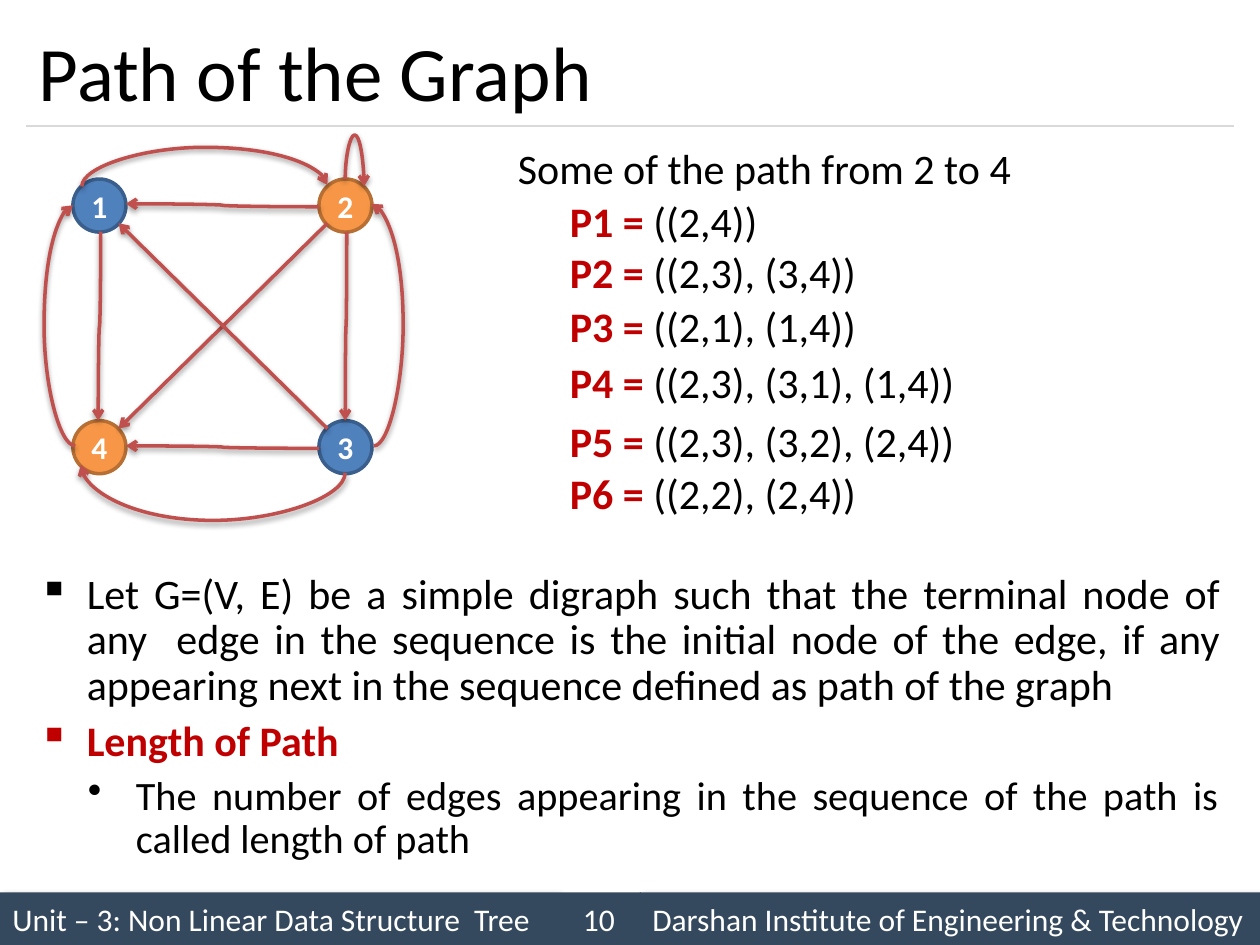
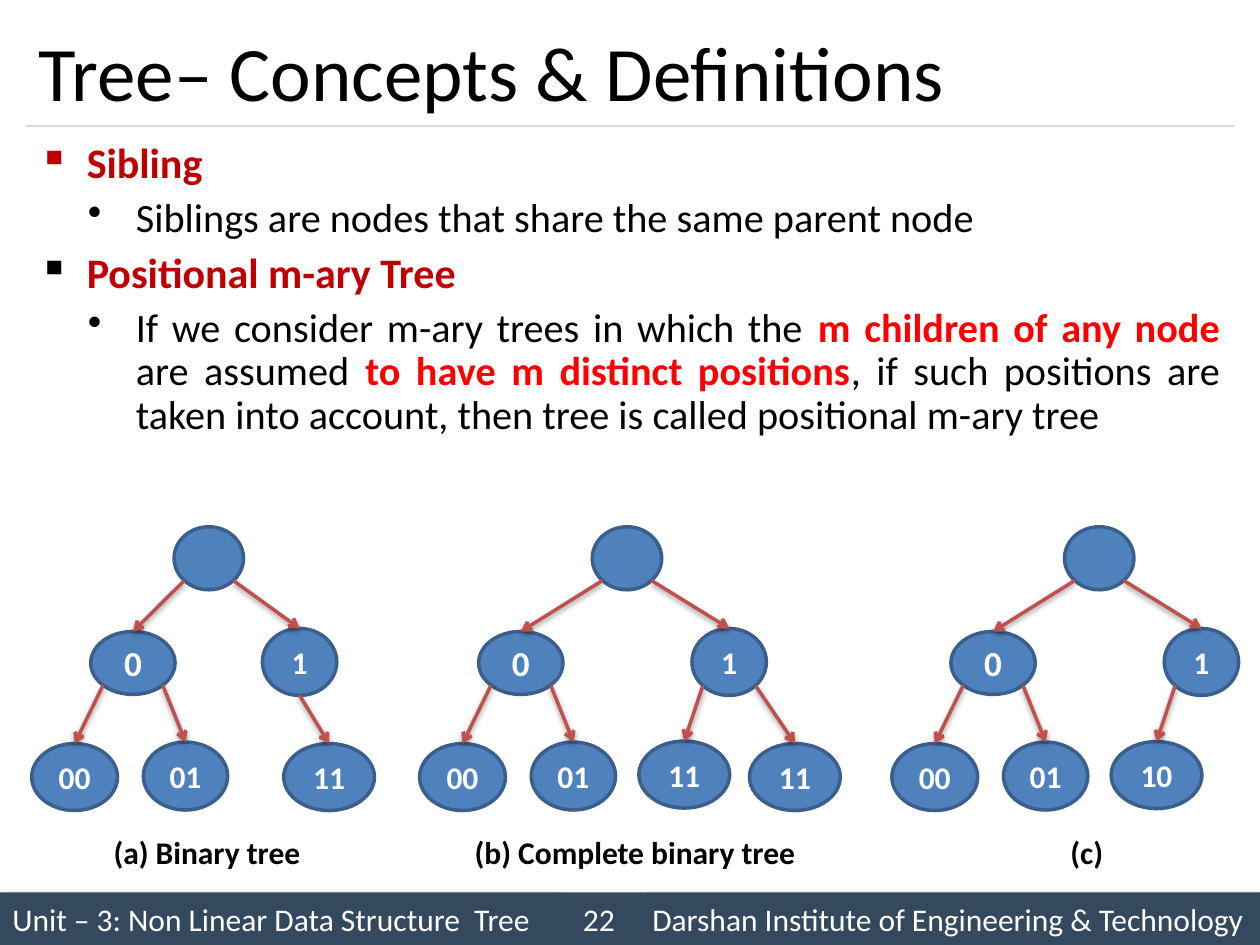
from dataclasses import dataclass
from typing import Optional

from lxml import etree
from pptx import Presentation
from pptx.dml.color import RGBColor
from pptx.enum.shapes import MSO_CONNECTOR, MSO_SHAPE
from pptx.enum.text import MSO_ANCHOR, PP_ALIGN
from pptx.oxml.ns import qn
from pptx.util import Cm, Pt

FONT = "Calibri"
BLACK = RGBColor(0x00, 0x00, 0x00)
WHITE = RGBColor(0xFF, 0xFF, 0xFF)
NAVY = RGBColor(0x34, 0x49, 0x5E)
RULE = RGBColor(0xD9, 0xD9, 0xD9)
BLUE = RGBColor(0x4F, 0x81, 0xBD)
BLUE_EDGE = RGBColor(0x3A, 0x5F, 0x8C)
ORANGE = RGBColor(0xF7, 0x96, 0x46)
ORANGE_EDGE = RGBColor(0xB7, 0x6F, 0x34)
ARROW = RGBColor(0xC0, 0x50, 0x4D)
CRIMSON = RGBColor(0xC0, 0x00, 0x00)
RED = RGBColor(0xFF, 0x00, 0x00)
UPPER, MIDDLE, LOWER = PP_ALIGN.LEFT, PP_ALIGN.CENTER, PP_ALIGN.JUSTIFY
SITE = 0.146


@dataclass(frozen=True)
class Run:
    text: str
    size: float = 18
    color: RGBColor = BLACK
    bold: bool = False


@dataclass(frozen=True)
class Bullet:
    runs: list[Run]
    level: int = 0
    bullet_color: Optional[RGBColor] = None


@dataclass(frozen=True)
class Node:
    label: str
    left: float
    top: float
    width: float
    height: float
    size: float = 18
    fill: RGBColor = BLUE
    edge: RGBColor = BLUE_EDGE

    def site(self, across: float) -> tuple[float, float]:
        down = 1 if across == 0.5 else 1 - SITE
        return self.left + across * self.width, self.top + down * self.height


@dataclass(frozen=True)
class Edge:
    x1: float
    y1: float
    x2: float
    y2: float
    axis: str = ""
    via: float = 0


@dataclass(frozen=True)
class Tree:
    left: float
    root: float
    right: float
    leaves: list[tuple[str, float, float, float]]
    caption: str
    caption_left: float
    caption_width: float


def add_runs(p, runs: list[Run]) -> None:
    for item in runs:
        r = p.add_run()
        r.text = item.text
        r.font.name = FONT
        r.font.size = Pt(item.size)
        r.font.bold = item.bold
        r.font.color.rgb = item.color


def add_shadow(sp, blur: int, dist: int, direction: int, alpha: int) -> None:
    effects = etree.SubElement(sp._element.spPr, qn("a:effectLst"))
    shadow = etree.SubElement(effects, qn("a:outerShdw"), blurRad=str(blur),
                              dist=str(dist), dir=str(direction * 60000), rotWithShape="0")
    color = etree.SubElement(shadow, qn("a:srgbClr"), val=str(BLACK))
    etree.SubElement(color, qn("a:alpha"), val=str(alpha * 1000))


def add_text(slide, left: float, top: float, width: float, height: float,
             runs: list[Run], wrap: bool = True) -> None:
    tf = slide.shapes.add_textbox(Cm(left), Cm(top), Cm(width), Cm(height)).text_frame
    tf.word_wrap = wrap
    add_runs(tf.paragraphs[0], runs)


def add_bullets(slide, top: float, height: float, bullets: list[Bullet]) -> None:
    tf = slide.shapes.add_textbox(Cm(0.53), Cm(top), Cm(24.33), Cm(height)).text_frame
    tf.word_wrap = True
    for i, item in enumerate(bullets):
        p = tf.add_paragraph() if i else tf.paragraphs[0]
        p.alignment = LOWER
        p.level = item.level
        p.line_spacing = 0.9
        p.space_before = Pt(6 if i else 0)
        pPr = p._p.get_or_add_pPr()
        pPr.set("marL", str(Cm((0.97, 1.96)[item.level])))
        pPr.set("indent", str(Cm(-0.97)))
        if item.bullet_color is not None:
            color = etree.SubElement(pPr, qn("a:buClr"))
            etree.SubElement(color, qn("a:srgbClr"), val=str(item.bullet_color))
        etree.SubElement(pPr, qn("a:buChar"), char="▪•"[item.level])
        add_runs(p, item.runs)


def add_band(slide, left: float, width: float, text: str,
             align: PP_ALIGN = PP_ALIGN.LEFT, shadow: bool = True) -> None:
    sp = slide.shapes.add_shape(MSO_SHAPE.RECTANGLE, Cm(left), Cm(17.99), Cm(width), Cm(1.06))
    sp.fill.solid()
    sp.fill.fore_color.rgb = NAVY
    sp.line.fill.background()
    if shadow:
        add_shadow(sp, 50800, 38100, 45, 40)
    else:
        sp.shadow.inherit = False
    tf = sp.text_frame
    tf.word_wrap = True
    tf.vertical_anchor = MSO_ANCHOR.MIDDLE
    tf.paragraphs[0].alignment = align
    add_runs(tf.paragraphs[0], [Run(text, color=WHITE)])


def add_slide(prs, title: str, number: int):
    slide = prs.slides.add_slide(prs.slide_layouts[5])
    add_band(slide, 0, 11.23, "Unit – 3: Non Linear Data Structure  Tree")
    rule = slide.shapes.add_connector(MSO_CONNECTOR.STRAIGHT, Cm(0.53), Cm(2.54), Cm(24.87), Cm(2.54))
    rule.line.color.rgb = RULE
    rule.line.width = Pt(0.75)
    etree.SubElement(rule._element.spPr, qn("a:effectLst"))
    add_band(slide, 12.9, 12.5, "Darshan Institute of Engineering & Technology")
    add_band(slide, 11.23, 1.69, str(number), PP_ALIGN.CENTER, shadow=False)
    sp = slide.shapes.title
    sp.left, sp.top, sp.width, sp.height = Cm(0.53), Cm(0.3), Cm(24.33), Cm(2.24)
    tf = sp.text_frame
    tf.vertical_anchor = MSO_ANCHOR.MIDDLE
    tf.paragraphs[0].alignment = PP_ALIGN.LEFT
    add_runs(tf.paragraphs[0], [Run(title, 44)])
    return slide


def add_node(slide, node: Node) -> None:
    sp = slide.shapes.add_shape(MSO_SHAPE.OVAL, Cm(node.left), Cm(node.top),
                                Cm(node.width), Cm(node.height))
    sp.fill.solid()
    sp.fill.fore_color.rgb = node.fill
    sp.line.color.rgb = node.edge
    sp.line.width = Pt(2)
    sp.shadow.inherit = False
    if node.label:
        tf = sp.text_frame
        tf.word_wrap = False
        tf.vertical_anchor = MSO_ANCHOR.MIDDLE
        tf.paragraphs[0].alignment = PP_ALIGN.CENTER
        add_runs(tf.paragraphs[0], [Run(node.label, node.size, WHITE, True)])


def bend(cxn, edge: Edge) -> None:
    dx, dy = edge.x2 - edge.x1, edge.y2 - edge.y1
    upright = edge.axis == "y"
    along, across = (dy, -dx) if upright else (dx, dy)
    start = edge.y1 if upright else edge.x1
    width, height = abs(along), abs(across)
    cxn.left = Cm((edge.x1 + edge.x2 - width) / 2)
    cxn.top = Cm((edge.y1 + edge.y2 - height) / 2)
    cxn.width, cxn.height = Cm(width), Cm(height)
    xfrm = cxn._element.spPr.find(qn("a:xfrm"))
    xfrm.set("rot", "5400000" if upright else "0")
    xfrm.set("flipH", str(int(along < 0)))
    xfrm.set("flipV", str(int(across < 0)))
    geom = cxn._element.spPr.find(qn("a:prstGeom"))
    guides = geom.find(qn("a:avLst"))
    if guides is None:
        guides = etree.SubElement(geom, qn("a:avLst"))
    ratio = round((edge.via - start) / along * 100000)
    etree.SubElement(guides, qn("a:gd"), name="adj1", fmla=f"val {ratio}")


def add_edge(slide, edge: Edge) -> None:
    kind = MSO_CONNECTOR.CURVE if edge.axis else MSO_CONNECTOR.STRAIGHT
    cxn = slide.shapes.add_connector(kind, Cm(edge.x1), Cm(edge.y1), Cm(edge.x2), Cm(edge.y2))
    if edge.axis:
        bend(cxn, edge)
    cxn.line.color.rgb = ARROW
    cxn.line.width = Pt(2)
    etree.SubElement(cxn.line._get_or_add_ln(), qn("a:tailEnd"), type="arrow")
    add_shadow(cxn, 40000, 20000, 90, 38)


def add_tree(slide, tree: Tree) -> None:
    root = Node("", tree.left + tree.root, 10.62, 1.4, 1.27)
    zero = Node("0", tree.left + 1.19, 12.73, 1.7, 1.27, 20)
    one = Node("1", tree.left + tree.right, 12.67, 1.5, 1.35)
    left_leaf = Node("00", tree.left, 14.99, 1.73, 1.35)
    right_leaf = Node("01", tree.left + 2.25, 14.96, 1.7, 1.37)
    links = [(root, zero, SITE), (root, one, 1 - SITE),
             (zero, left_leaf, SITE), (zero, right_leaf, 1 - SITE)]
    for label, left, top, across in tree.leaves:
        links.append((one, Node(label, tree.left + left, top, 1.83, 1.35), across))
    for node in [root] + [child for _, child, _ in links]:
        add_node(slide, node)
    for parent, child, across in links:
        add_edge(slide, Edge(*parent.site(across), child.left + child.width / 2, child.top))
    add_text(slide, tree.left + tree.caption_left, 16.66, tree.caption_width, 1.02,
             [Run(tree.caption, bold=True)], wrap=False)


GRAPH_NODES = [
    Node("1", 1.47, 3.61, 1.07, 1.07),
    Node("4", 1.47, 8.48, 1.07, 1.07, fill=ORANGE, edge=ORANGE_EDGE),
    Node("2", 6.43, 3.61, 1.07, 1.07, fill=ORANGE, edge=ORANGE_EDGE),
    Node("3", 6.43, 8.48, 1.07, 1.07),
]
GRAPH_EDGES = [
    Edge(1.65, 3.76, 6.6, 3.73, "y", 2.97),
    Edge(1.52, 8.99, 1.47, 4.14, "x", 0.89),
    Edge(7.54, 8.99, 7.49, 4.11, "x", 8.13),
    Edge(6.96, 9.53, 1.63, 9.37, "y", 10.49),
    Edge(6.6, 4.5, 2.39, 8.64),
    Edge(6.6, 8.64, 2.39, 4.5),
    Edge(6.43, 4.17, 2.54, 4.11, "x", 4.49),
    Edge(2.03, 4.67, 1.98, 8.48, "y", 6.58),
    Edge(6.43, 9.04, 2.54, 8.99, "x", 4.49),
    Edge(6.99, 4.67, 6.96, 8.48, "y", 6.58),
    Edge(6.96, 3.61, 7.34, 3.76, "y", 2.72),
]
PATHS = [
    (3.81, "((2,4))"),
    (4.85, "((2,3), (3,4))"),
    (5.94, "((2,1), (1,4))"),
    (7.06, "((2,3), (3,1), (1,4))"),
    (8.26, "((2,3), (3,2), (2,4))"),
    (9.3, "((2,2), (2,4))"),
]
TREES = [
    Tree(0.64, 2.87, 4.65, [("11", 5.08, 14.99, 0.5)], "(a) Binary tree", 1.4, 4.32),
    Tree(8.46, 3.48, 5.49, [("11", 6.65, 14.99, 1 - SITE), ("11", 4.42, 14.94, SITE)],
         "(b) Complete binary tree", 0.86, 7.04),
    Tree(17.98, 3.48, 5.49, [("10", 4.42, 14.95, SITE)], "(c)", 3.35, 1.17),
]


def build_path_slide(prs) -> None:
    slide = add_slide(prs, "Path of the Graph", 10)
    add_bullets(slide, 11.43, 6.15, [
        Bullet([Run("Let G=(V, E) be a simple digraph such that the terminal node of any  edge in the "
                    "sequence is the initial node of the edge, if any appearing next in the sequence "
                    "defined as path of the graph", 24)]),
        Bullet([Run("Length of Path", 24, CRIMSON, True)]),
        Bullet([Run("The number of edges appearing in the sequence of the path is called "
                    "length of path", 23)], 1),
    ])
    for node in GRAPH_NODES:
        add_node(slide, node)
    for edge in GRAPH_EDGES:
        add_edge(slide, edge)
    add_text(slide, 10.19, 2.74, 13.08, 1.27, [Run("Some of the path from 2 to 4", 24)])
    for i, (top, steps) in enumerate(PATHS, 1):
        add_text(slide, 11.24, top, 13.08, 1.27,
                 [Run(f"P{i} =", 24, CRIMSON, True), Run(f" {steps}", 24)])


def build_tree_slide(prs) -> None:
    slide = add_slide(prs, "Tree– Concepts & Definitions", 22)
    add_bullets(slide, 2.74, 6.99, [
        Bullet([Run("Sibling", 24, CRIMSON, True)]),
        Bullet([Run("Siblings are nodes that share the same parent node", 23)], 1),
        Bullet([Run("Positional m-ary Tree", 24, CRIMSON, True)], bullet_color=BLACK),
        Bullet([Run("If we consider m-ary trees in which the ", 23),
                Run("m children of any node ", 23, RED, True),
                Run("are assumed ", 23),
                Run("to have m distinct positions", 23, RED, True),
                Run(", if such positions are taken into account, then tree is called "
                    "positional m-ary tree", 23)], 1),
    ])
    for tree in TREES:
        add_tree(slide, tree)


def main() -> None:
    prs = Presentation()
    prs.slide_width, prs.slide_height = Cm(25.4), Cm(19.05)
    build_path_slide(prs)
    build_tree_slide(prs)
    prs.save("out.pptx")


if __name__ == "__main__":
    main()
